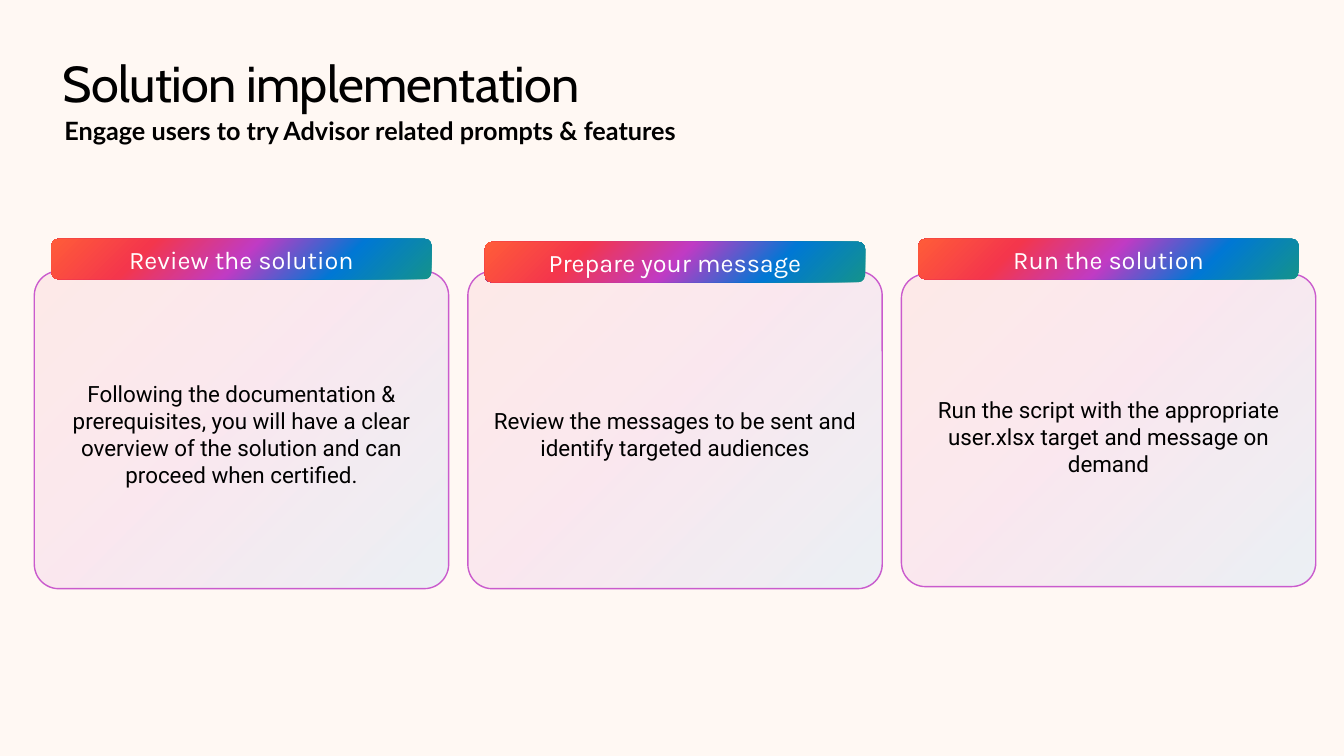
from dataclasses import dataclass

import pptx
import pptx.dml.color
import pptx.enum.shapes
import pptx.enum.text
import pptx.oxml
import pptx.oxml.ns
import pptx.shapes.autoshape
import pptx.slide
import pptx.util

Inches = pptx.util.Inches
Pt = pptx.util.Pt
RGBColor = pptx.dml.color.RGBColor

CREAM = RGBColor(0xFF, 0xF8, 0xF3)
BLACK = RGBColor(0x00, 0x00, 0x00)
WHITE = RGBColor(0xFF, 0xFF, 0xFF)
ORANGE = RGBColor(0xFF, 0x5C, 0x39)
RED = RGBColor(0xF4, 0x36, 0x4C)
PURPLE = RGBColor(0xC0, 0x3B, 0xC4)
BLUE = RGBColor(0x00, 0x78, 0xD4)
TEAL = RGBColor(0x14, 0x93, 0x8C)
PINK = RGBColor(0xF7, 0x71, 0x81)
ORCHID = RGBColor(0xCA, 0x5B, 0xCD)
SKY = RGBColor(0x39, 0xB0, 0xFF)

CARD_STOPS = [(0, PINK), (48, ORCHID), (100, SKY)]
HEADER_STOPS = [(0, ORANGE), (25, RED), (50, PURPLE), (75, BLUE), (100, TEAL)]
DIAGONAL = '<a:lin ang="2700000" scaled="0"/>'
FROM_CORNER = '<a:path path="circle"><a:fillToRect r="100000" b="100000"/></a:path>'

CARD_LEFT, CARD_STEP, CARD_WIDTH = 0.34, 4.3, 4.11
HEADER_INSET, HEADER_WIDTH, HEADER_HEIGHT = 0.17, 3.77, 0.4


@dataclass
class Step:
    heading: str
    body: str
    header_top: float = 2.37
    card_top: float = 2.69
    card_height: float = 3.15
    top_margin: float = 0.16


@dataclass
class TextStyle:
    font: str
    size: int
    color: RGBColor
    bold: bool = False


TITLE = TextStyle("Cabin", 36, BLACK)
SUBTITLE = TextStyle("Lato", 18, BLACK, True)
BODY = TextStyle("Roboto", 16, BLACK)
HEADING = TextStyle("Karla", 18, WHITE)

STEPS = [
    Step("Review the solution",
         "Following the documentation & prerequisites, you will have a clear "
         "overview of the solution and can proceed when certified."),
    Step("Prepare your message",
         "Review the messages to be sent and identify targeted audiences",
         header_top=2.4),
    Step("Run the solution",
         "Run the script with the appropriate user.xlsx target and message on demand",
         card_top=2.72, card_height=3.1, top_margin=0.2),
]


def write_text(frame: pptx.text.text.TextFrame, text: str, style: TextStyle) -> None:
    frame.word_wrap = True
    frame.text = text
    font = frame.paragraphs[0].runs[0].font
    font.name = style.font
    font.size = Pt(style.size)
    font.bold = style.bold
    font.color.rgb = style.color


def set_gradient(shape: pptx.shapes.autoshape.Shape,
                 stops: list[tuple[int, RGBColor]], direction: str, opacity: int) -> None:
    """Fill the shape with color stops; positions and opacity are percentages."""
    stop_xml = "".join(
        f'<a:gs pos="{position * 1000}"><a:srgbClr val="{color}">'
        f'<a:alpha val="{opacity * 1000}"/></a:srgbClr></a:gs>'
        for position, color in stops)
    gradient = pptx.oxml.parse_xml(
        f'<a:gradFill {pptx.oxml.ns.nsdecls("a")} rotWithShape="1">'
        f'<a:gsLst>{stop_xml}</a:gsLst>{direction}</a:gradFill>')
    shape.element.spPr.find(pptx.oxml.ns.qn("a:prstGeom")).addnext(gradient)


def add_rounded_box(slide: pptx.slide.Slide, left: float, top: float, width: float,
                    height: float, text: str, style: TextStyle) -> pptx.shapes.autoshape.Shape:
    shape = slide.shapes.add_shape(
        pptx.enum.shapes.MSO_SHAPE.ROUNDED_RECTANGLE,
        Inches(left), Inches(top), Inches(width), Inches(height))
    shape.shadow.inherit = False
    write_text(shape.text_frame, text, style)
    shape.text_frame.vertical_anchor = pptx.enum.text.MSO_ANCHOR.MIDDLE
    shape.text_frame.paragraphs[0].alignment = pptx.enum.text.PP_ALIGN.CENTER
    return shape


def add_step(slide: pptx.slide.Slide, step: Step, left: float) -> None:
    card = add_rounded_box(slide, left, step.card_top, CARD_WIDTH, step.card_height,
                           step.body, BODY)
    card.adjustments[0] = 0.077
    set_gradient(card, CARD_STOPS, DIAGONAL, 10)
    card.line.color.rgb = ORCHID
    card.line.width = Pt(1)
    frame = card.text_frame
    frame.margin_left = frame.margin_right = frame.margin_bottom = Inches(0.08)
    frame.margin_top = Inches(step.top_margin)

    header = add_rounded_box(slide, left + HEADER_INSET, step.header_top, HEADER_WIDTH,
                             HEADER_HEIGHT, step.heading, HEADING)
    set_gradient(header, HEADER_STOPS, FROM_CORNER, 100)
    header.line.fill.background()


def add_text_box(slide: pptx.slide.Slide, left: float, top: float, width: float,
                 height: float, text: str, style: TextStyle) -> pptx.text.text.TextFrame:
    box = slide.shapes.add_textbox(Inches(left), Inches(top), Inches(width), Inches(height))
    frame = box.text_frame
    write_text(frame, text, style)
    frame.auto_size = pptx.enum.text.MSO_AUTO_SIZE.SHAPE_TO_FIT_TEXT
    return frame


def add_titles(slide: pptx.slide.Slide) -> None:
    title = add_text_box(slide, 0.62, 0.52, 12.05, 0.61, "Solution implementation", TITLE)
    title.margin_left = title.margin_right = title.margin_top = title.margin_bottom = 0
    title.paragraphs[0].runs[0].font._element.set("spc", "-50")

    subtitle = add_text_box(slide, 0.34, 1.09, 12.6, 0.4,
                            "Engage users to try Advisor related prompts & features", SUBTITLE)
    paragraph = subtitle.paragraphs[0]
    paragraph.space_after = Pt(2)
    properties = paragraph._p.get_or_add_pPr()
    properties.set("marL", str(Inches(0.2)))
    properties.set("indent", "0")


def main() -> None:
    presentation = pptx.Presentation()
    presentation.slide_width = Inches(13.33)
    presentation.slide_height = Inches(7.5)
    slide = presentation.slides.add_slide(presentation.slide_layouts[6])
    slide.background.fill.solid()
    slide.background.fill.fore_color.rgb = CREAM
    add_titles(slide)
    for index, step in enumerate(STEPS):
        add_step(slide, step, CARD_LEFT + index * CARD_STEP)
    presentation.save("out.pptx")


if __name__ == "__main__":
    main()
